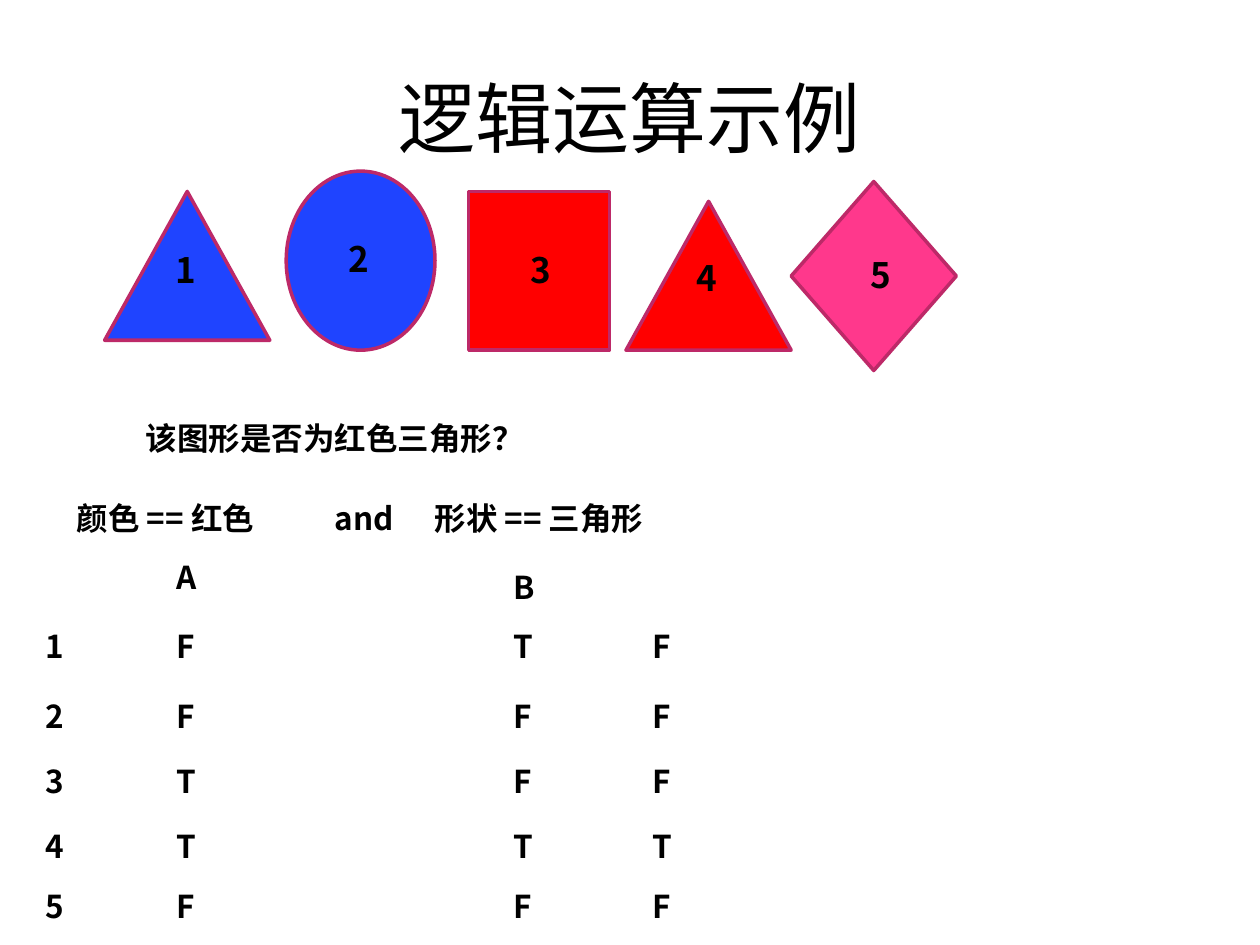
from dataclasses import dataclass

from lxml import etree
from pptx import Presentation
from pptx.dml.color import RGBColor
from pptx.enum import shapes, text
from pptx.oxml.ns import qn
from pptx.util import Cm, Pt


@dataclass(frozen=True)
class Theme:
    font: str = "Noto Sans CJK SC"
    ink: str = "000000"
    outline: str = "BD2968"
    blue: str = "1F44FF"
    red: str = "FF0000"
    pink: str = "FF388C"
    title_size: int = 44
    label_size: int = 20
    body_size: int = 18
    line_width: int = 2


THEME = Theme()
KIND = shapes.MSO_SHAPE
CENTER = text.PP_ALIGN.CENTER

TITLE = "逻辑运算示例"
# kind, fill, (left, top, width, height), label (left, top); all in cm
FIGURES = [
    (KIND.ISOSCELES_TRIANGLE, THEME.blue, (2.11, 3.86, 3.33, 3), (3.28, 4.88)),
    (KIND.OVAL, THEME.blue, (5.77, 3.45, 3, 3.61), (6.78, 4.67)),
    (KIND.RECTANGLE, THEME.red, (9.45, 3.86, 2.84, 3.2), (10.44, 4.88)),
    (KIND.ISOSCELES_TRIANGLE, THEME.red, (12.62, 4.06, 3.33, 3), (13.79, 5.05)),
    (KIND.DIAMOND, THEME.pink, (15.95, 3.66, 3.33, 3.81), (17.3, 4.98)),
]
QUESTION = ("该图形是否为红色三角形？", (2.69, 8.33, 13.21))
OPERATOR = ("and", (6.5, 9.93, 2.39))
# condition and its letter, each with (left, top, width)
CONDITIONS = [
    [("颜色 == 红色", (1.3, 9.93, 6.4)), ("A", (3.3, 11.13, 1))],
    [("形状 == 三角形", (8.51, 9.93, 9.4)), ("B", (10.11, 11.33, 1))],
]
TRUTH_ROWS = ["FTF", "FFF", "TFF", "TTT", "FFF"]
ROW_TOPS = [12.52, 13.92, 15.24, 16.54, 17.75]
VALUE_LEFTS = [3.3, 10.11, 12.9]
NUMBER_LEFT, NUMBER_WIDTH, VALUE_WIDTH = 0.51, 1.2, 1.6
LABEL_WIDTH, LABEL_HEIGHT, BODY_HEIGHT = 1, 1.11, 1.02


def rgb(value):
    return RGBColor.from_string(value)


def write(tf, words, size, bold=True, align=None):
    tf.text = words
    p = tf.paragraphs[0]
    p.alignment = align
    r = p.runs[0]
    r.font.name, r.font.size, r.font.bold = THEME.font, Pt(size), bold
    r.font.color.rgb = rgb(THEME.ink)
    east_asian = etree.SubElement(r.font._element, qn("a:ea"))
    east_asian.set("typeface", THEME.font)


def add_text(parent, words, place, height=BODY_HEIGHT,
             size=THEME.body_size, align=None):
    """Add a text box to a slide's or group's shapes; place is left, top, width."""
    tf = parent.add_textbox(*map(Cm, (*place, height))).text_frame
    tf.word_wrap = True
    tf.auto_size = text.MSO_AUTO_SIZE.SHAPE_TO_FIT_TEXT
    write(tf, words, size, align=align)


def add_figure(s, number, kind, fill, box, label_at):
    group = s.shapes.add_group_shape().shapes
    sp = group.add_shape(kind, *map(Cm, box))
    sp.shadow.inherit = False
    sp.fill.solid()
    sp.fill.fore_color.rgb = rgb(fill)
    sp.line.color.rgb = rgb(THEME.outline)
    sp.line.width = Pt(THEME.line_width)
    add_text(group, str(number), (*label_at, LABEL_WIDTH),
             LABEL_HEIGHT, THEME.label_size)


def add_truth_rows(s):
    for number, (top, values) in enumerate(zip(ROW_TOPS, TRUTH_ROWS), 1):
        add_text(s.shapes, str(number), (NUMBER_LEFT, top, NUMBER_WIDTH),
                 align=CENTER)
        for left, value in zip(VALUE_LEFTS, values):
            add_text(s.shapes, value, (left, top, VALUE_WIDTH))


def main():
    prs = Presentation()
    prs.slide_width, prs.slide_height = Cm(25.4), Cm(19.05)
    s = prs.slides.add_slide(prs.slide_layouts[5])

    title = s.shapes.title
    title.left, title.top, title.width, title.height = map(
        Cm, (1.27, 0.76, 22.86, 3.18))
    title.text_frame.vertical_anchor = text.MSO_ANCHOR.MIDDLE
    write(title.text_frame, TITLE, THEME.title_size, bold=False, align=CENTER)

    for number, figure in enumerate(FIGURES, 1):
        add_figure(s, number, *figure)
    add_text(s.shapes, *QUESTION)
    for condition in CONDITIONS:
        group = s.shapes.add_group_shape().shapes
        for words, place in condition:
            add_text(group, words, place)
    add_text(s.shapes, *OPERATOR)
    add_truth_rows(s)
    prs.save("out.pptx")


if __name__ == "__main__":
    main()
